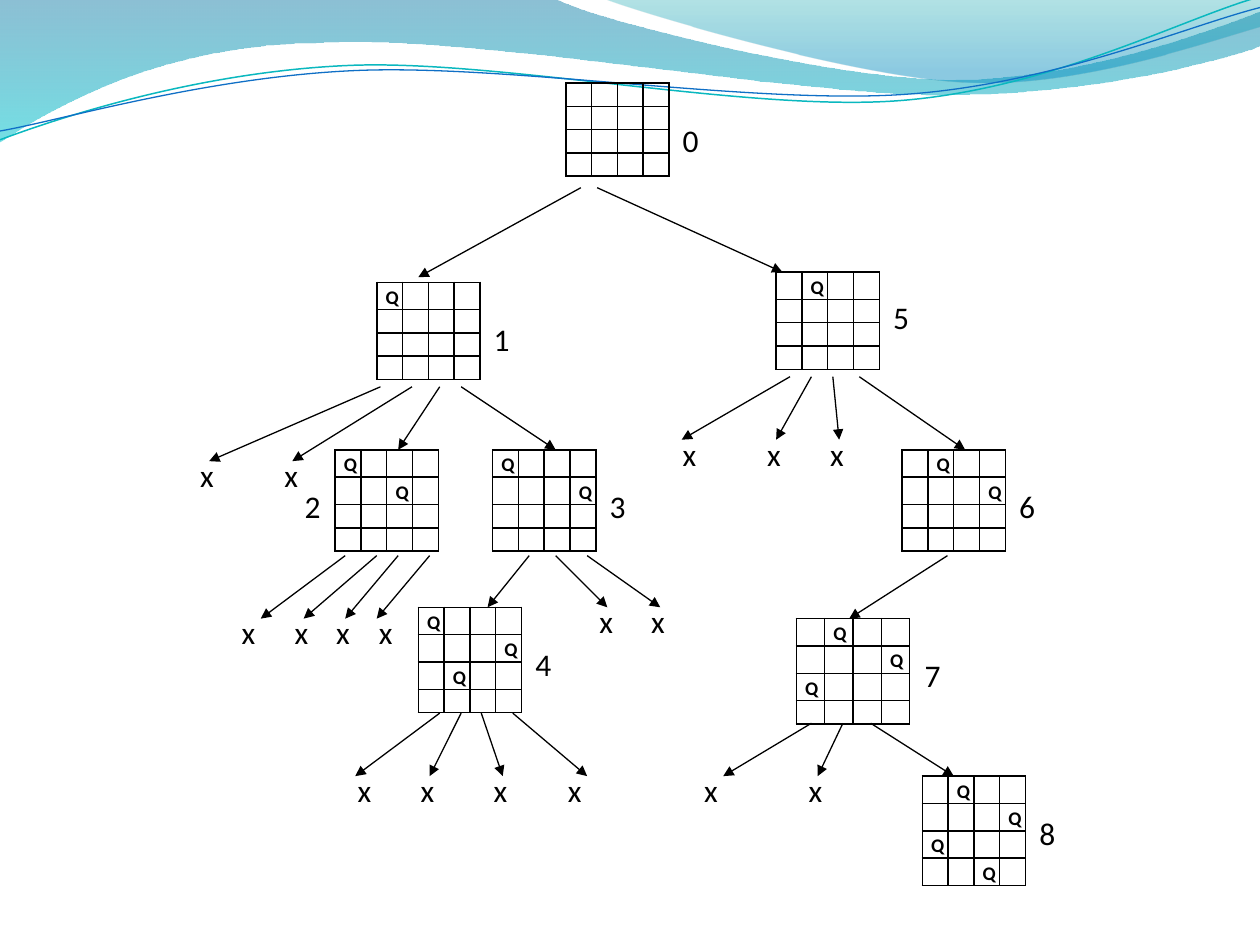
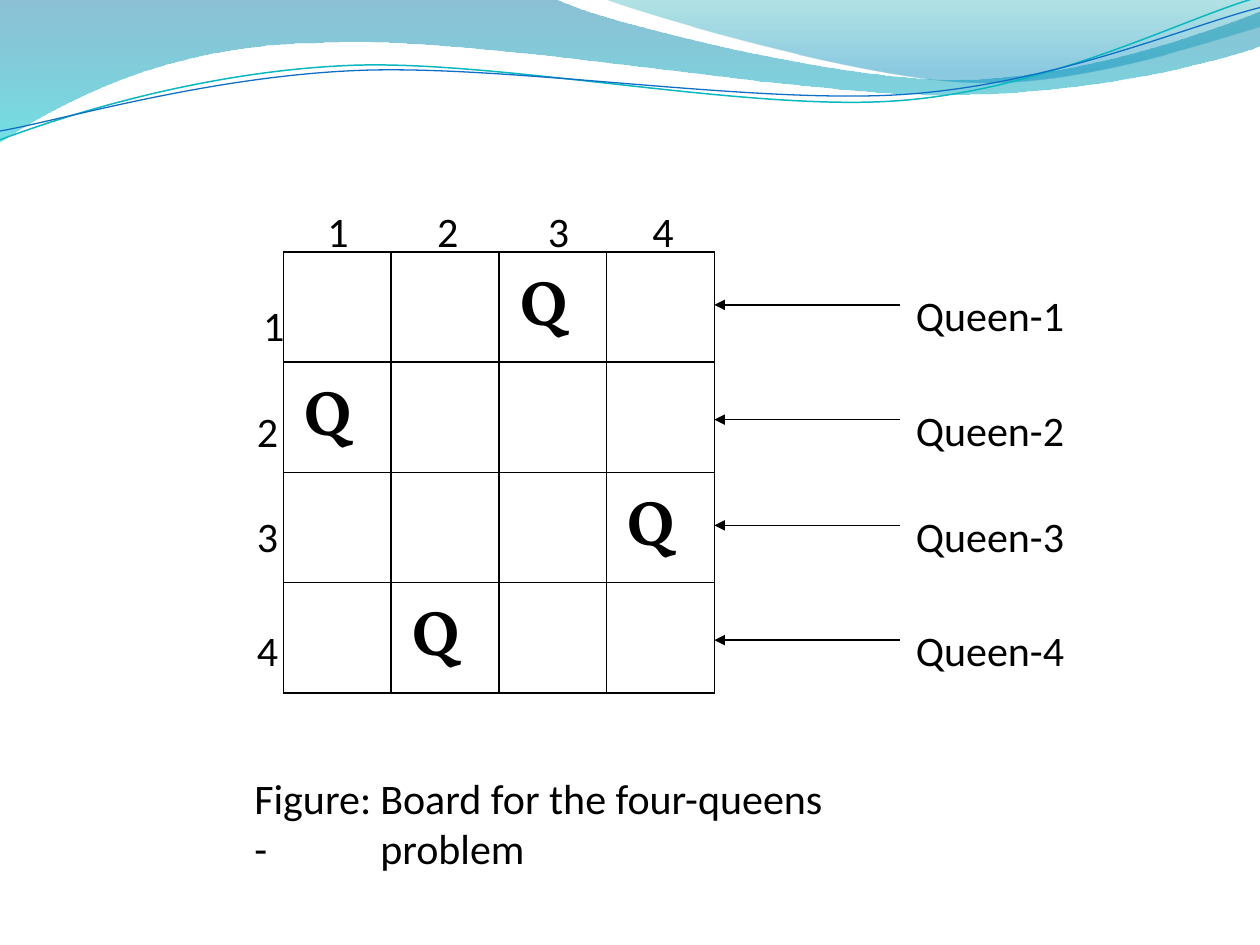
from dataclasses import dataclass
from collections import namedtuple

from lxml.etree import SubElement
from pptx import Presentation
from pptx.dml.color import RGBColor
from pptx.enum.shapes import MSO_CONNECTOR
from pptx.oxml.ns import qn
from pptx.util import Inches, Pt


@dataclass(frozen=True)
class Theme:
    ink: str = "000000"
    body_font: str = "Calibri"
    queen_font: str = "Vollkorn"
    small_queen: int = 11
    large_queen: int = 36
    empty_cell: int = 10
    tree_text: int = 18
    figure_text: int = 24
    rule: float = 0.75
    border: float = 1


THEME = Theme()
Wave = namedtuple("Wave", "start segments stops line")
Board = namedtuple("Board", "label left top width queens label_offset arrow_top arrows")
Arrow = namedtuple("Arrow", "start_x end_x end_y mark_left", defaults=[None])

WAVES = [
    Wave((0, -0.01), [
        (4.4, -0.01),
        (4.76, 0.17, 6.64, 0.63, 7.58, 0.63),
        (8.53, 0.63, 9.58, 0.26, 10, 0.09),
        (10.01, 0.36),
        (9.83, 0.44, 8.7, 0.76, 7.46, 0.75),
        (6.22, 0.75, 3.82, 0.28, 2.57, 0.34),
        (1.29, 0.35, 0.46, 0.83, -0.01, 1.13),
        (0, -0.01),
    ], [(0, "0074A1", 45), (1, "00C6CF", 55)], None),
    Wave((4.79, -0.01), [
        (5.09, 0.11, 6.82, 0.62, 7.69, 0.65),
        (8.56, 0.69, 9.61, 0.32, 10, 0.21),
        (10, 0),
        (4.79, -0.01),
    ], [(0, "00A1A9", 30), (0.8, "008BBF", 45)], None),
    Wave((0, 1.11), [
        (0.48, 0.93, 1.58, 0.57, 2.77, 0.52),
        (3.95, 0.47, 5.93, 0.89, 7.13, 0.8),
        (8.33, 0.71, 9.38, 0.15, 9.98, -0.02),
    ], None, ("0AB8BF", 0.85)),
    Wave((0, 1.04), [
        (0.47, 0.96, 1.64, 0.61, 2.83, 0.56),
        (4.03, 0.51, 5.97, 0.83, 7.17, 0.75),
        (8.36, 0.67, 9.41, 0.21, 10, 0.06),
    ], None, ("0F6FC6", 0.75)),
]

RIGHT = (0.83, 0.25)
BOARDS = [
    Board("0", 4.49, 0.66, 0.82, [], RIGHT, 1.49,
          [Arrow(4.61, 3.32, 2.2), Arrow(4.74, 6.21, 2.16)]),
    Board("1", 2.99, 2.24, 0.82, [0], RIGHT, 3.07,
          [Arrow(3.02, 1.66, 3.66, 1.49), Arrow(3.27, 2.32, 3.66, 2.16),
           Arrow(3.49, 3.16, 3.57), Arrow(3.66, 4.41, 3.57)]),
    Board("2", 2.66, 3.57, 0.82, [0, 2], (-0.34, 0.25), 4.41,
          [Arrow(2.74, 2.07, 4.91, 1.82), Arrow(2.99, 2.41, 4.91, 2.24),
           Arrow(3.16, 2.74, 4.91, 2.57), Arrow(3.41, 2.99, 4.91, 2.91)]),
    Board("3", 3.91, 3.57, 0.82, [0, 3], RIGHT, 4.41,
          [Arrow(4.2, 3.87, 4.82), Arrow(4.41, 4.82, 4.82, 4.66),
           Arrow(4.66, 5.24, 4.82, 5.07)]),
    Board("4", 3.32, 4.82, 0.82, [0, 3, 1], RIGHT, 5.66,
          [Arrow(3.49, 2.82, 6.16, 2.74), Arrow(3.66, 3.41, 6.16, 3.24),
           Arrow(3.82, 3.99, 6.16, 3.82), Arrow(4.07, 4.66, 6.16, 4.41)]),
    Board("5", 6.16, 2.16, 0.82, [1], (0.83, 0.16), 2.99,
          [Arrow(6.27, 5.41, 3.49, 5.32), Arrow(6.44, 6.16, 3.49, 5.99),
           Arrow(6.61, 6.66, 3.49, 6.49), Arrow(6.82, 7.66, 3.57)]),
    Board("6", 7.16, 3.57, 0.82, [1, 3], RIGHT, 4.41,
          [Arrow(7.52, 6.74, 4.91)]),
    Board("7", 6.32, 4.91, 0.9, [1, 3, 0], (0.92, 0.25), 5.74,
          [Arrow(6.44, 5.74, 6.16, 5.49), Arrow(6.69, 6.49, 6.16, 6.32),
           Arrow(6.91, 7.57, 6.16)]),
    Board("8", 7.32, 6.16, 0.82, [1, 3, 0, 2], RIGHT, None, []),
]

SOLUTION = [2, 0, 3, 1]
COLUMN_LABELS = [("1", 2.5), ("2", 3.37), ("3", 4.25), ("4", 5.08)]
ROW_LABELS = [("1", 1.99, 2.33), ("2", 1.94, 3.17), ("3", 1.94, 4), ("4", 1.94, 4.91)]
QUEENS = [("Queen-1", 2.42), ("Queen-2", 3.33), ("Queen-3", 4.17), ("Queen-4", 5.08)]
CAPTION = [("Board for the four-queens problem", 2.92, 4.86), ("Figure:-", 1.92, 1.22)]


def color(value):
    return RGBColor.from_string(value)


def add_curve(slide, wave):
    points = [(Inches(segment[i]), Inches(segment[i + 1]))
              for segment in wave.segments for i in range(0, len(segment), 2)]
    start_x, start_y = wave.start
    builder = slide.shapes.build_freeform(Inches(start_x), Inches(start_y))
    builder.add_line_segments(points, close=bool(wave.stops))
    shape = builder.convert_to_shape()
    lines = iter(list(shape._element.spPr.iter(qn("a:lnTo"))))
    for segment in wave.segments:
        group = [next(lines) for _ in range(len(segment) // 2)]
        if len(group) == 3:
            outline = group[0].getparent()
            curve = SubElement(outline, qn("a:cubicBezTo"))
            outline.replace(group[0], curve)
            for line in group:
                curve.append(line[0])
            for line in group[1:]:
                outline.remove(line)
    return shape


def add_waves(slide, layout):
    for number, wave in enumerate(WAVES, 100):
        shape = add_curve(slide, wave)
        shape.shadow.inherit = False
        if wave.stops:
            shape.line.fill.background()
            shape.fill.gradient()
            shape.fill.gradient_angle = 270
            for stop, (position, value, _) in zip(shape.fill.gradient_stops, wave.stops):
                stop.position = position
                stop.color.rgb = color(value)
            for node, (_, _, opacity) in zip(shape._element.spPr.iter(qn("a:srgbClr")), wave.stops):
                SubElement(node, qn("a:alpha"), val=str(opacity * 1000))
        else:
            value, width = wave.line
            shape.fill.background()
            shape.line.color.rgb = color(value)
            shape.line.width = Pt(width)
        shape._element.nvSpPr.cNvPr.set("id", str(number))
        layout.shapes._spTree.append(shape._element)


def add_run(paragraph, text, size, font, bold=False):
    run = paragraph.add_run()
    run.text = text
    run.font.name = font
    run.font.size = Pt(size)
    run.font.bold = bold
    run.font.color.rgb = color(THEME.ink)


def add_label(slide, text, left, top, width, height, size):
    box = slide.shapes.add_textbox(Inches(left), Inches(top), Inches(width), Inches(height))
    box.text_frame.word_wrap = True
    add_run(box.text_frame.paragraphs[0], text, size, THEME.body_font)


def add_arrow(slide, start_x, start_y, end_x, end_y):
    connector = slide.shapes.add_connector(
        MSO_CONNECTOR.STRAIGHT, Inches(start_x), Inches(start_y), Inches(end_x), Inches(end_y))
    connector.line.color.rgb = color(THEME.ink)
    connector.line.width = Pt(THEME.rule)
    properties = connector._element.spPr
    SubElement(properties.find(qn("a:ln")), qn("a:tailEnd"), type="triangle")
    SubElement(properties, qn("a:effectLst"))


def add_borders(cell):
    properties = cell._tc.get_or_add_tcPr()
    for index, side in enumerate(("lnL", "lnR", "lnT", "lnB")):
        line = SubElement(properties, qn(f"a:{side}"), w=str(Pt(THEME.border)))
        fill = SubElement(line, qn("a:solidFill"))
        SubElement(fill, qn("a:srgbClr"), val=THEME.ink)
        properties.insert(index, line)


def add_board(slide, left, top, width, height, queens, text, size, font):
    table = slide.shapes.add_table(
        4, 4, Inches(left), Inches(top), Inches(width), Inches(height)).table
    table.first_row = False
    table.horz_banding = False
    for row in range(4):
        for column in range(4):
            cell = table.cell(row, column)
            cell.fill.background()
            cell.margin_left = cell.margin_right = Inches(0.07)
            cell.margin_top = cell.margin_bottom = 0
            add_borders(cell)
            paragraph = cell.text_frame.paragraphs[0]
            if row < len(queens) and queens[row] == column:
                paragraph.line_spacing = 1.15
                add_run(paragraph, text, size, font, bold=True)
            else:
                SubElement(paragraph._p, qn("a:endParaRPr"), sz=str(THEME.empty_cell * 100))


def build_search_tree(slide):
    for board in BOARDS:
        add_board(slide, board.left, board.top, board.width, 0.74, board.queens,
                  "Q", THEME.small_queen, THEME.body_font)
    for board in BOARDS:
        across, down = board.label_offset
        add_label(slide, board.label, board.left + across, board.top + down,
                  0.34, 0.4, THEME.tree_text)
        for arrow in board.arrows:
            add_arrow(slide, arrow.start_x, board.arrow_top, arrow.end_x, arrow.end_y)
            if arrow.mark_left is not None:
                add_label(slide, "x", arrow.mark_left, arrow.end_y - 0.09,
                          0.33, 0.4, THEME.tree_text)


def build_solution(slide):
    size = THEME.figure_text
    add_board(slide, 2.25, 2, 3.42, 3.5, SOLUTION, " Q", THEME.large_queen, THEME.queen_font)
    for text, left in COLUMN_LABELS:
        add_label(slide, text, left, 1.58, 0.39, 0.51, size)
    for text, left, top in ROW_LABELS:
        add_label(slide, text, left, top, 0.39, 0.51, size)
    for text, middle in QUEENS:
        add_arrow(slide, 7.14, middle, 5.67, middle)
        add_label(slide, text, 7.17, middle - 0.17, 1.39, 0.51, size)
    for text, left, width in CAPTION:
        add_label(slide, text, left, 6.08, width, 0.51, size)


def main():
    presentation = Presentation()
    presentation.slide_width = Inches(10)
    presentation.slide_height = Inches(7.5)
    layout = presentation.slide_layouts[6]
    tree_slide = presentation.slides.add_slide(layout)
    solution_slide = presentation.slides.add_slide(layout)
    add_waves(tree_slide, layout)
    build_search_tree(tree_slide)
    build_solution(solution_slide)
    presentation.save("out.pptx")


if __name__ == "__main__":
    main()
